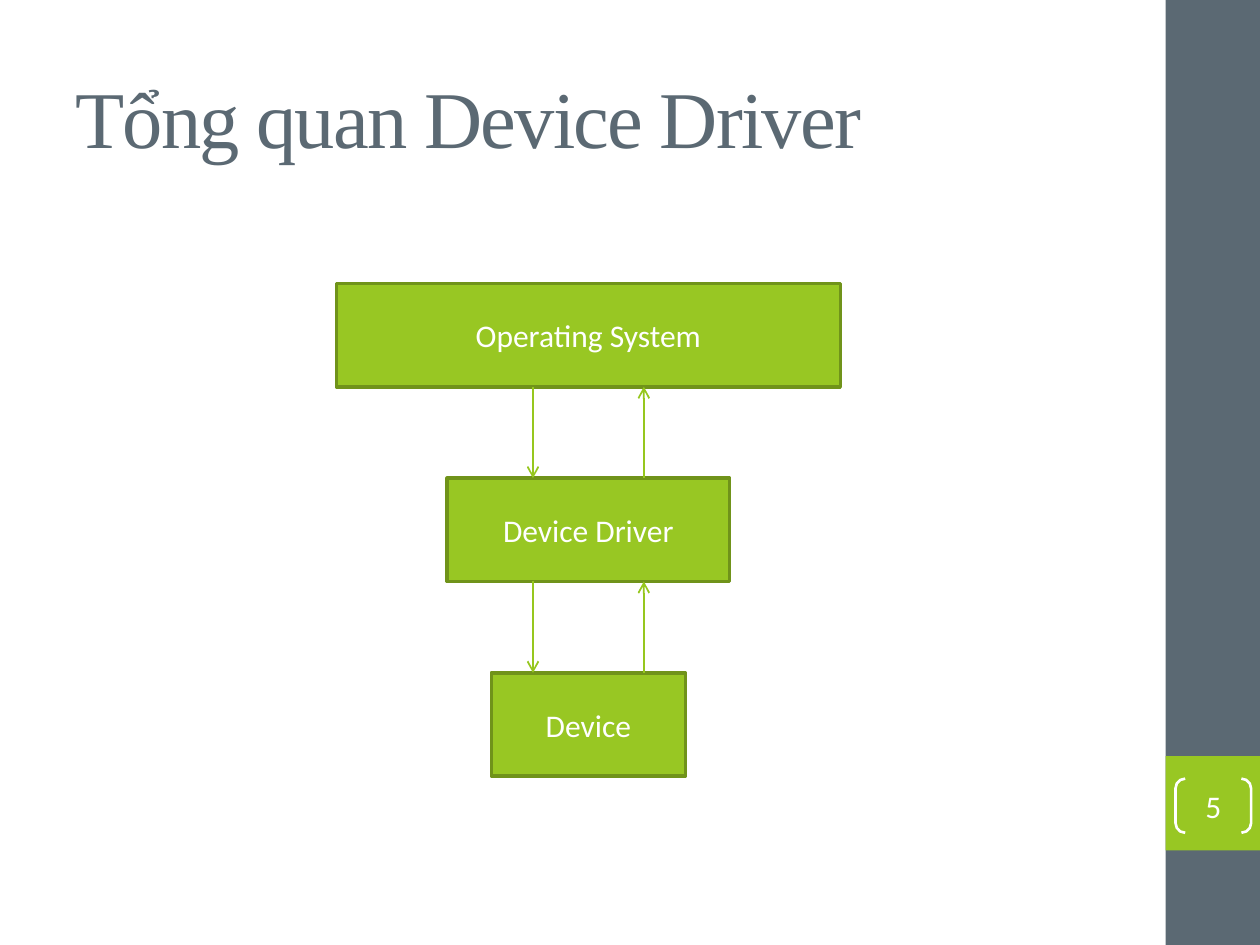
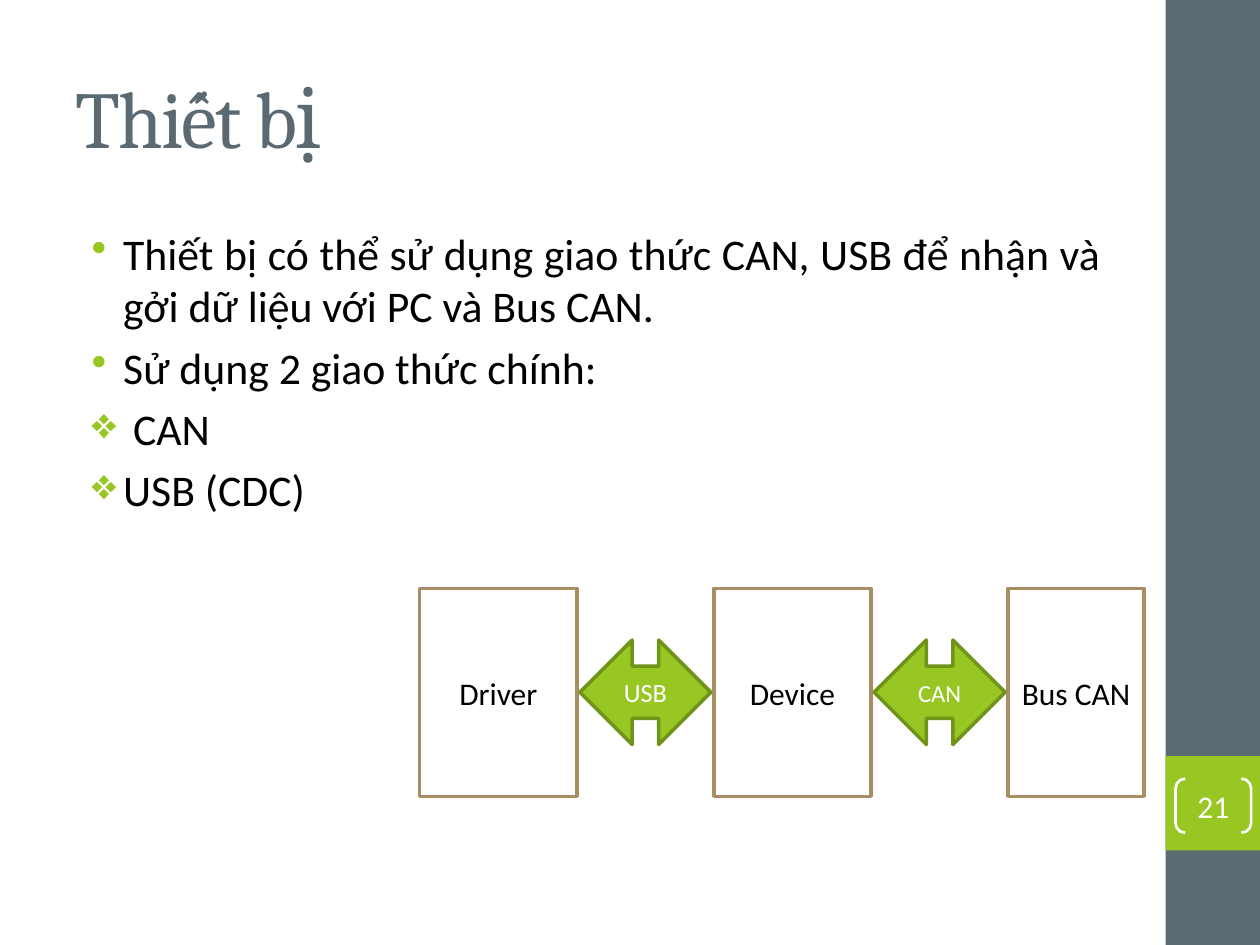
from itertools import pairwise
from lxml.etree import SubElement
from pptx import Presentation
from pptx.dml.color import RGBColor
from pptx.enum.shapes import MSO_CONNECTOR, MSO_SHAPE
from pptx.enum.text import MSO_ANCHOR, PP_ALIGN
from pptx.oxml.ns import qn
from pptx.util import Inches, Pt

COLORS = {
    "slate": "5B6973",
    "green": "98C723",
    "dark_green": "70931A",
    "arrow_green": "96C71E",
    "tan": "A98D63",
    "white": "FFFFFF",
    "black": "000000",
}


def rgb(name):
    return RGBColor.from_string(COLORS[name])


def write(tf, text, size=18, font="Calibri", color="white", align=PP_ALIGN.CENTER,
          anchor=MSO_ANCHOR.MIDDLE, spacing=None, bullet=None, before=0, new=False):
    tf.word_wrap = True
    tf.vertical_anchor = anchor
    p = tf.add_paragraph() if new else tf.paragraphs[0]
    p.alignment = align
    p.space_before = Pt(before)
    r = p.add_run()
    r.text = text
    r.font.size = Pt(size)
    r.font.name = font
    r.font.color.rgb = rgb(color)
    if spacing:
        r.font._element.set("spc", str(spacing))
    if bullet:
        pPr = p._p.get_or_add_pPr()
        pPr.set("marL", str(Inches(0.38)))
        pPr.set("indent", str(Inches(-0.25)))
        clr = SubElement(pPr, qn("a:buClr"))
        SubElement(clr, qn("a:srgbClr"), val=COLORS["green"])
        SubElement(pPr, qn("a:buChar"), char=bullet)


def add_box(shapes, kind, x, y, w, h, fill=None, line=None, width=2):
    sp = shapes.add_shape(kind, Inches(x), Inches(y), Inches(w), Inches(h))
    sp.shadow.inherit = False
    if fill:
        sp.fill.solid()
        sp.fill.fore_color.rgb = rgb(fill)
    else:
        sp.fill.background()
    if line:
        sp.line.color.rgb = rgb(line)
        sp.line.width = Pt(width)
    else:
        sp.line.fill.background()
    return sp


def add_arrow(shapes, x, y1, y2):
    cx = shapes.add_connector(MSO_CONNECTOR.STRAIGHT,
                              Inches(x), Inches(y1), Inches(x), Inches(y2))
    cx.line.color.rgb = rgb("arrow_green")
    cx.line.width = Pt(1)
    SubElement(cx.line._get_or_add_ln(), qn("a:tailEnd"), type="arrow")
    SubElement(cx._element.spPr, qn("a:effectLst"))


def add_textbox(s, x, y, w, h):
    return s.shapes.add_textbox(Inches(x), Inches(y), Inches(w), Inches(h)).text_frame


def add_sidebar(s, number, x=9.25, y=0, w=0.75, h=7.5):
    add_box(s.shapes, MSO_SHAPE.RECTANGLE, x, y, w, h, "slate")
    add_box(s.shapes, MSO_SHAPE.RECTANGLE, x, y + 6, w, w, "green")
    sp = add_box(s.shapes, MSO_SHAPE.DOUBLE_BRACKET, x + 0.08, y + 6.18, 0.6, 0.43,
                 line="white", width=1.5)
    sp.adjustments[0] = 0.179
    tf = sp.text_frame
    tf.margin_left = tf.margin_right = tf.margin_top = tf.margin_bottom = 0
    write(tf, str(number))


def add_slide(prs, title, font, number):
    s = prs.slides.add_slide(prs.slide_layouts[6])
    add_sidebar(s, number)
    write(add_textbox(s, 0.5, 0.3, 8.33, 1.25), title, size=46, font=font,
          color="slate", align=PP_ALIGN.LEFT, spacing=-100)
    return s


def add_layer_stack(s, layers, x, y, w, h, layer_h=0.82, arrow_dx=0.44):
    shapes = s.shapes.add_group_shape().shapes
    center = x + w / 2
    pitch = (h - layer_h) / (len(layers) - 1)
    tops = [y + i * pitch for i in range(len(layers))]
    for top, (label, layer_w) in zip(tops, layers):
        sp = add_box(shapes, MSO_SHAPE.RECTANGLE, center - layer_w / 2, top,
                     layer_w, layer_h, "green", "dark_green")
        write(sp.text_frame, label)
    for upper, lower in pairwise(tops):
        add_arrow(shapes, center - arrow_dx, upper + layer_h, lower)
        add_arrow(shapes, center + arrow_dx, lower, upper + layer_h)


def add_bullets(s, items, x, y, w, h):
    tf = add_textbox(s, x, y, w, h)
    for i, (bullet, text, align) in enumerate(items):
        write(tf, text, size=25, color="black", align=align, anchor=MSO_ANCHOR.TOP,
              bullet=bullet, before=5, new=i > 0)


def add_bus_chain(s, blocks, links, x, y, w, h, link_w=1.04, link_h=0.83):
    shapes = s.shapes.add_group_shape().shapes
    gap = (w - sum(block_w for _, block_w in blocks)) / len(links)
    left = x
    for i, (label, block_w) in enumerate(blocks):
        sp = add_box(shapes, MSO_SHAPE.RECTANGLE, left, y, block_w, h, "white", "tan")
        write(sp.text_frame, label, color="black")
        left += block_w
        if i < len(links):
            name, size = links[i]
            sp = add_box(shapes, MSO_SHAPE.LEFT_RIGHT_ARROW, left + (gap - link_w) / 2,
                         y + (h - link_h) / 2, link_w, link_h, "green", "dark_green")
            write(sp.text_frame, name, size=size)
            left += gap


prs = Presentation()
prs.slide_width, prs.slide_height = Inches(10), Inches(7.5)

s = add_slide(prs, "Tổng quan Device Driver", "Times New Roman", 5)
add_layer_stack(s, [("Operating System", 4), ("Device Driver", 2.24), ("Device", 1.54)],
                2.67, 2.25, 4, 3.91)

s = add_slide(prs, "Thiết bị", "Cambria", 21)
add_bullets(s, [
    ("•", "Thiết bị có thể sử dụng giao thức CAN, USB để nhận và "
          "gởi dữ liệu với PC và Bus CAN.", PP_ALIGN.JUSTIFY),
    ("•", "Sử dụng 2 giao thức chính:", PP_ALIGN.LEFT),
    ("❖", " CAN", PP_ALIGN.LEFT),
    ("❖", "USB (CDC)", PP_ALIGN.LEFT),
], 0.5, 1.75, 8.33, 5.25)
add_bus_chain(s, [("Driver", 1.25), ("Device", 1.25), ("Bus CAN", 1.08)],
              [("USB", 15), ("CAN", 14)], 3.33, 4.67, 5.75, 1.65)

prs.save("out.pptx")
